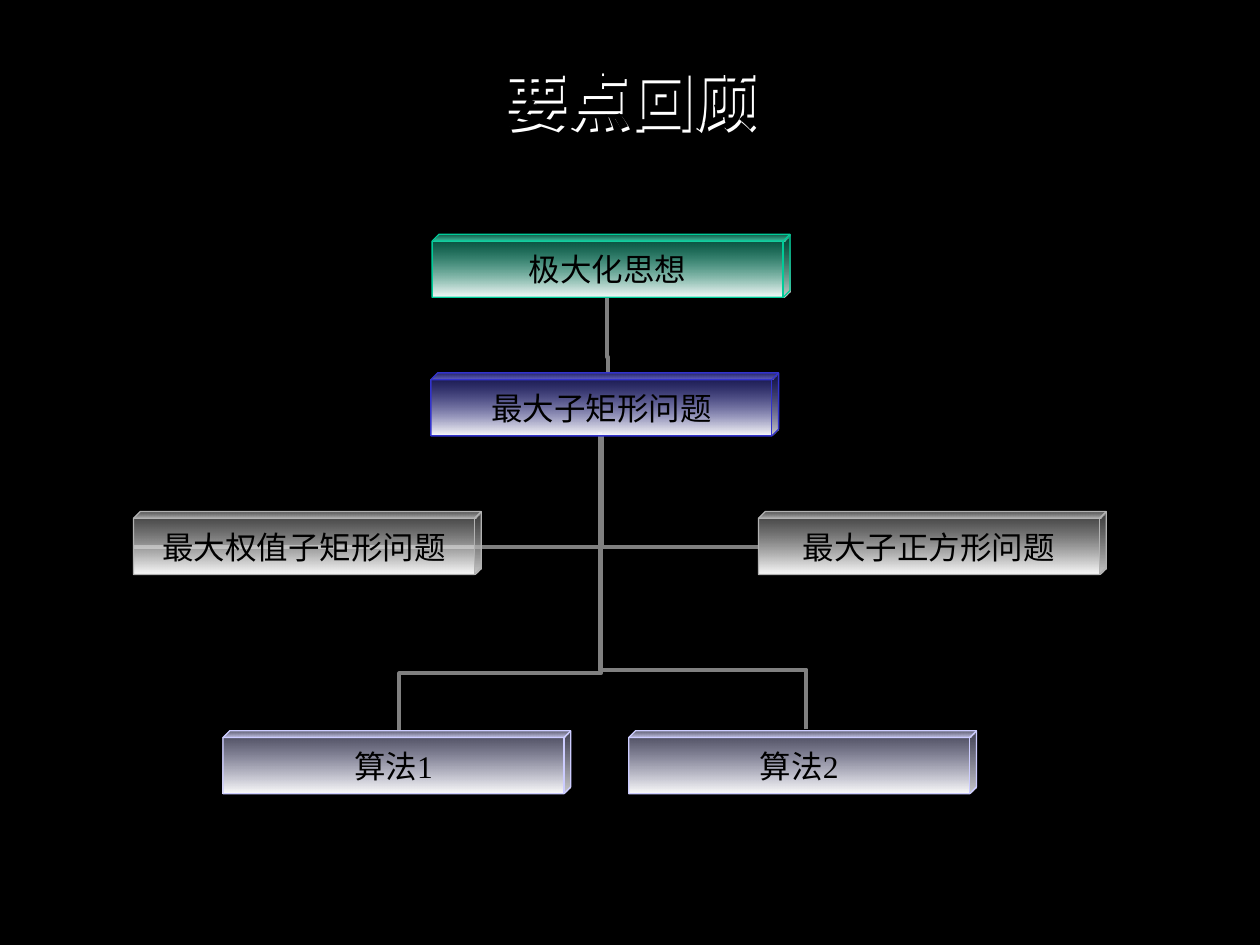
"""Build the recap slide: a tree of maximal sub-rectangle topics."""
from pptx import Presentation
from pptx.dml.color import RGBColor
from pptx.enum import shapes, text
from pptx.oxml.ns import qn
from pptx.oxml.xmlchemy import OxmlElement
from pptx.util import Inches, Pt

BLACK = RGBColor(0x00, 0x00, 0x00)
WHITE = RGBColor(0xFF, 0xFF, 0xFF)
GREY = RGBColor(0x80, 0x80, 0x80)
GREEN = RGBColor(0x00, 0xCC, 0x99)
BLUE = RGBColor(0x33, 0x33, 0xCC)
LILAC = RGBColor(0xCC, 0xCC, 0xFF)
SILVER = RGBColor(0xB2, 0xB2, 0xB2)

TITLE_FONT = {"size": Pt(36), "name": "DejaVu Sans", "bold": True}
TOPIC_FONT = {"size": Pt(18), "name": "Times New Roman", "bold": False}
MARGINS = {"margin_left": Inches(0.1), "margin_right": Inches(0.1),
           "margin_top": Inches(0.05), "margin_bottom": Inches(0.05),
           "vertical_anchor": text.MSO_ANCHOR.MIDDLE}


def write(frame, wording, font_format, colour, wrap):
    frame.text = wording
    frame.word_wrap = wrap
    for key, value in MARGINS.items():
        setattr(frame, key, value)
    paragraph = frame.paragraphs[0]
    paragraph.alignment = text.PP_ALIGN.CENTER
    font = paragraph.runs[0].font
    font.color.rgb = colour
    for key, value in font_format.items():
        setattr(font, key, value)


deck = Presentation()
deck.slide_width, deck.slide_height = Inches(10), Inches(7.5)
slide = deck.slides.add_slide(deck.slide_layouts[5])
slide.background.fill.solid()
slide.background.fill.fore_color.rgb = BLACK

heading = slide.shapes.title
highlight = slide.shapes.add_textbox(0, 0, 0, 0)
heading._element.addprevious(highlight._element)
for layer, shift, colour in ((highlight, 0.02, WHITE), (heading, 0, BLACK)):
    layer.left, layer.top = Inches(0.75 + shift), Inches(0.33 + shift)
    layer.width, layer.height = Inches(8.5), Inches(0.92)
    write(layer.text_frame, "要点回顾", TITLE_FONT, colour, True)

tree = slide.shapes.add_group_shape().shapes

branches = [
    (1.06, 3.46, 3.72, 0.88, 0, "v", "bentConnector4", [100000, 65600]),
    (4.77, 3.46, 1.25, 0.88, 180, "", "bentConnector2", []),
    (2.80, 3.83, 2.34, 1.60, 90, "hv", "bentConnector3", [19500]),
    (4.40, 3.79, 2.36, 1.64, 270, "v", "bentConnector3", [20100]),
    (4.52, 2.65, 0.60, 0.01, 270, "v", "bentConnector3", [20700]),
]
for left, top, width, height, turn, flips, bend, adjusts in branches:
    xs, ys = [left, left + width], [top, top + height]
    if "h" in flips:
        xs.reverse()
    if "v" in flips:
        ys.reverse()
    branch = tree.add_connector(shapes.MSO_CONNECTOR.ELBOW, Inches(xs[0]),
                                Inches(ys[0]), Inches(xs[1]), Inches(ys[1]))
    branch.line.color.rgb = GREY
    branch.line.width = Pt(2.25)
    properties = branch._element.spPr
    properties.append(OxmlElement("a:effectLst"))
    properties.find(qn("a:xfrm")).set("rot", str(turn * 60000))
    geometry = properties.find(qn("a:prstGeom"))
    geometry.set("prst", bend)
    for number, amount in enumerate(adjusts, 1):
        guide = OxmlElement("a:gd")
        guide.set("name", f"adj{number}")
        guide.set("fmla", f"val {amount}")
        geometry.find(qn("a:avLst")).append(guide)

topics = [
    ("极大化思想", 3.43, 1.86, 2.84, GREEN),
    ("最大子矩形问题", 3.42, 2.96, 2.76, BLUE),
    ("算法2", 4.99, 5.80, 2.76, LILAC),
    ("算法1", 1.77, 5.80, 2.76, LILAC),
    ("最大子正方形问题", 6.02, 4.06, 2.76, SILVER),
    ("最大权值子矩形问题", 1.06, 4.06, 2.76, SILVER),
]
for wording, left, top, width, colour in topics:
    topic = tree.add_shape(shapes.MSO_SHAPE.CUBE, Inches(left), Inches(top),
                           Inches(width), Inches(0.5))
    topic.adjustments[0] = 0.108
    topic.shadow.inherit = False
    topic.line.color.rgb = colour
    topic.line.width = Pt(0.75)
    topic.fill.gradient()
    topic.fill.gradient_angle = 270
    for stop, tint, position in zip(topic.fill.gradient_stops, (colour, WHITE), (0, 1)):
        stop.color.rgb = tint
        stop.position = position
    alpha = OxmlElement("a:alpha")
    alpha.set("val", "40000")
    next(topic._element.spPr.iter(qn("a:gs")))[0].append(alpha)
    write(topic.text_frame, wording, TOPIC_FONT, BLACK, False)

deck.save("out.pptx")
